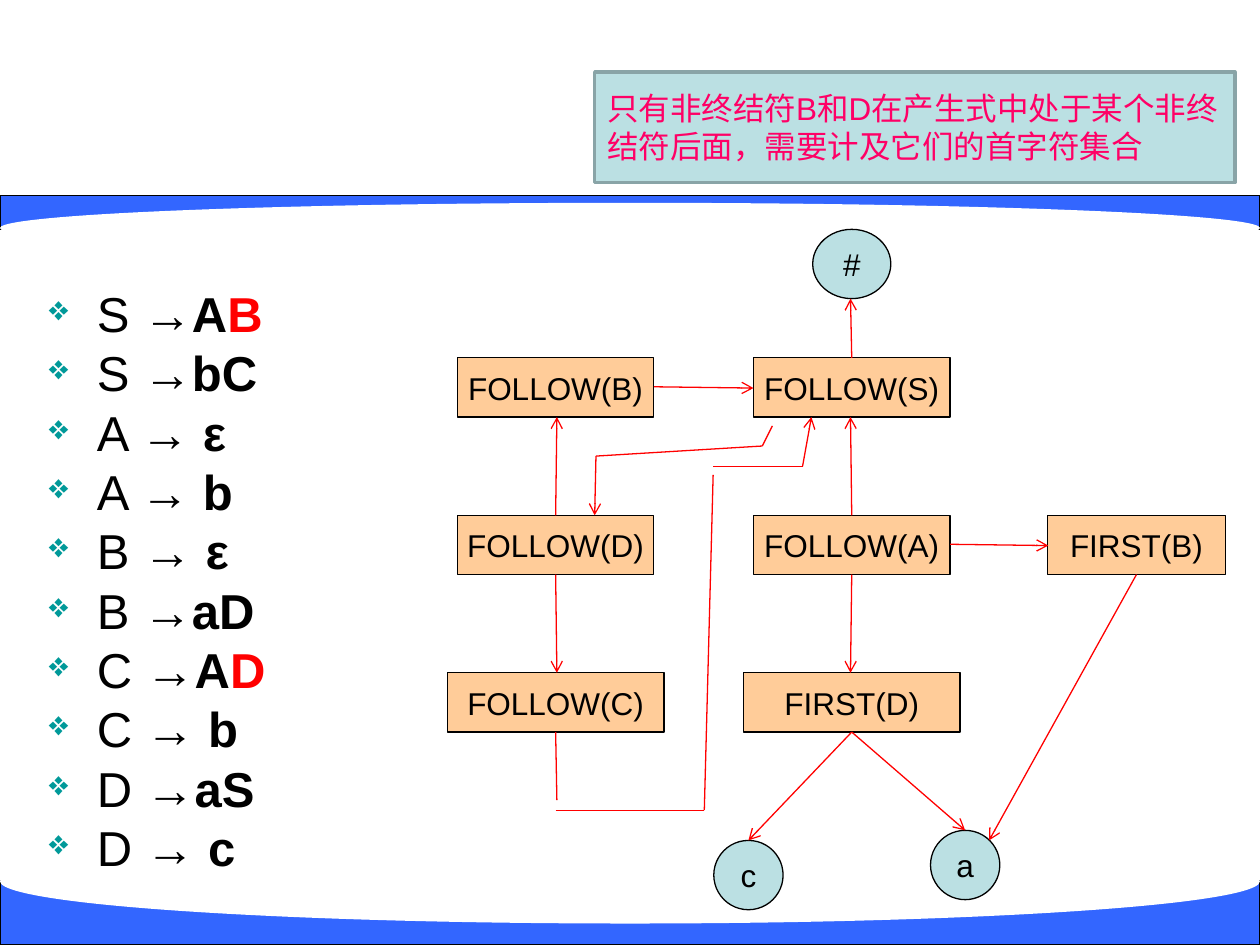
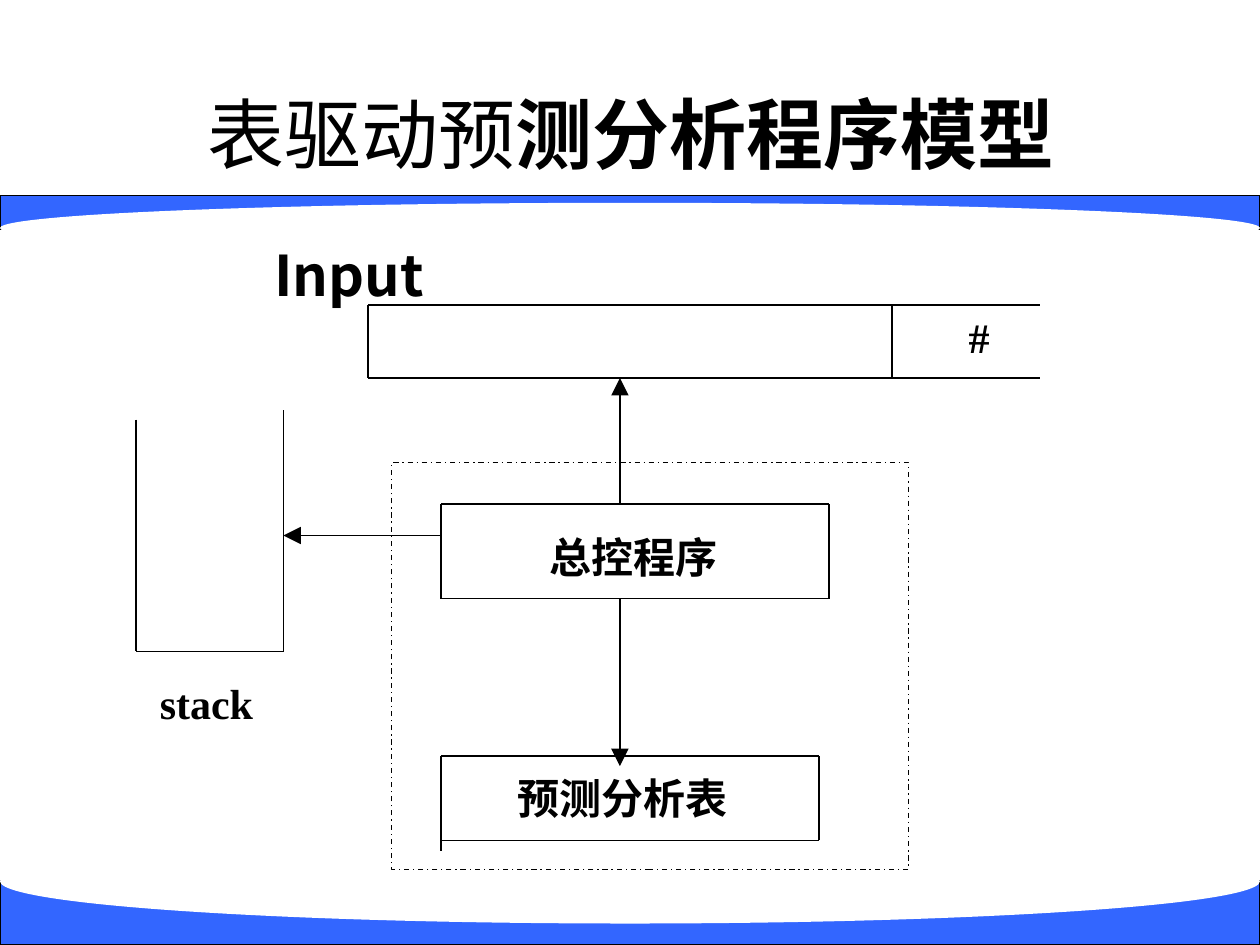
from dataclasses import dataclass
from itertools import pairwise

import pptx
import pptx.dml.color
import pptx.enum.dml
import pptx.enum.shapes
import pptx.enum.text
import pptx.oxml
import pptx.oxml.ns
import pptx.presentation
import pptx.shapes.autoshape
import pptx.slide
import pptx.text.text
import pptx.util

Inches = pptx.util.Inches
RGBColor = pptx.dml.color.RGBColor
MSO_SHAPE = pptx.enum.shapes.MSO_SHAPE
PP_ALIGN = pptx.enum.text.PP_ALIGN
MSO_ANCHOR = pptx.enum.text.MSO_ANCHOR

BLACK = RGBColor(0x00, 0x00, 0x00)
WHITE = RGBColor(0xFF, 0xFF, 0xFF)
RED = RGBColor(0xFF, 0x00, 0x00)
BAND_BLUE = RGBColor(0x33, 0x66, 0xFF)
PALE_TEAL = RGBColor(0xBB, 0xE0, 0xE3)
TEAL_EDGE = RGBColor(0x89, 0xA4, 0xA7)
ORANGE = RGBColor(0xFF, 0xCC, 0x99)
PINK = RGBColor(0xFF, 0x00, 0x66)
BULLET_TEAL = "009999"

ARIAL = "Arial"
TIMES = "Times New Roman"
CHINESE = "Noto Sans CJK SC"
THIN = 0.75
OPEN_HEAD = 'type="arrow"'
SOLID_HEAD = 'type="triangle" w="lg" len="lg"'

Point = tuple[float, float]


@dataclass(frozen=True)
class Box:
    left: float
    top: float
    width: float
    height: float


@dataclass(frozen=True)
class Style:
    size: float
    font: str = ARIAL
    color: RGBColor = BLACK
    bold: bool = False
    east_asian: bool = False


@dataclass(frozen=True)
class Band:
    bar: Box
    curve: Box


@dataclass(frozen=True)
class Node:
    label: str
    center: float
    top: float
    width: float
    height: float = 0.47
    kind: MSO_SHAPE = MSO_SHAPE.RECTANGLE
    fill: RGBColor = ORANGE


@dataclass(frozen=True)
class Route:
    points: tuple[Point, ...]
    arrow: bool = False


@dataclass(frozen=True)
class Production:
    left_side: str
    right_side: str
    highlighted: str = ""


@dataclass(frozen=True)
class Label:
    text: str
    box: Box
    style: Style


BANDS = (
    Band(Box(0, 1.55, 10, 0.27), Box(0, 1.61, 10, 0.4)),
    Band(Box(0, 6.99, 10, 0.51), Box(0, 6.66, 10, 0.67)),
)

PRODUCTIONS = (
    Production("S", "→A", "B"),
    Production("S", "→bC"),
    Production("A", "→ ε"),
    Production("A", "→ b"),
    Production("B", "→ ε"),
    Production("B", "→aD"),
    Production("C", "→A", "D"),
    Production("C", "→ b"),
    Production("D", "→aS"),
    Production("D", "→ c"),
)

LEFT_COLUMN, MIDDLE_COLUMN, RIGHT_COLUMN = 4.41, 6.76, 9.02
TOP_ROW, MIDDLE_ROW, BOTTOM_ROW = (2.84 + 1.25 * row for row in range(3))


def circle(label: str, center: float, top: float, width: float) -> Node:
    return Node(label, center, top, width, 0.55, MSO_SHAPE.OVAL, PALE_TEAL)


NODES = (
    circle("#", MIDDLE_COLUMN, 1.82, 0.62),
    circle("c", 5.94, 6.67, 0.55),
    circle("a", 7.66, 6.59, 0.55),
    Node("FOLLOW(B)", LEFT_COLUMN, TOP_ROW, 1.56),
    Node("FOLLOW(S)", MIDDLE_COLUMN, TOP_ROW, 1.56),
    Node("FOLLOW(D)", LEFT_COLUMN, MIDDLE_ROW, 1.56),
    Node("FOLLOW(A)", MIDDLE_COLUMN, MIDDLE_ROW, 1.56),
    Node("FIRST(B)", RIGHT_COLUMN, MIDDLE_ROW, 1.41),
    Node("FOLLOW(C)", LEFT_COLUMN, BOTTOM_ROW, 1.72),
    Node("FIRST(D)", MIDDLE_COLUMN, BOTTOM_ROW, 1.72),
)

DEPENDENCIES = (
    Route(((6.76, 2.84), (6.75, 2.37)), True),
    Route(((5.19, 3.07), (5.98, 3.08)), True),
    Route(((4.41, 4.09), (4.42, 3.31)), True),
    Route(((4.41, 4.56), (4.42, 5.34)), True),
    Route(((6.76, 4.56), (6.75, 5.34)), True),
    Route(((6.76, 5.81), (5.94, 6.67)), True),
    Route(((6.76, 5.81), (7.66, 6.59)), True),
    Route(((7.54, 4.32), (8.32, 4.33)), True),
    Route(((6.76, 4.09), (6.75, 3.31)), True),
    Route(((9.02, 4.56), (7.85, 6.67)), True),
    Route(((4.41, 5.81), (4.42, 6.35))),
    Route(((4.41, 6.43), (5.59, 6.43), (5.66, 3.77))),
    Route(((5.66, 3.7), (6.37, 3.7), (6.44, 3.31)), True),
    Route(((6.13, 3.38), (6.05, 3.54), (4.73, 3.62), (4.72, 4.09)), True),
)

MODEL_LINES = (
    Route(((1.08, 3.33), (1.08, 5.17), (2.25, 5.17), (2.25, 3.25))),
    Route(((8.25, 2.42), (2.92, 2.42), (2.92, 3), (8.25, 3))),
    Route(((7.08, 2.42), (7.08, 3))),
    Route(((3.5, 4), (6.58, 4), (6.58, 4.75), (3.5, 4.75), (3.5, 4))),
    Route(((3.5, 6.75), (3.5, 6), (6.5, 6), (6.5, 6.67), (3.5, 6.67))),
    Route(((4.92, 4), (4.92, 3)), True),
    Route(((3.5, 4.25), (2.25, 4.25)), True),
    Route(((4.92, 4.75), (4.92, 6.08)), True),
)

LATIN_LABEL = Style(24, TIMES, bold=True)
CHINESE_LABEL = Style(24, CHINESE, bold=True, east_asian=True)
MODEL_LABELS = (
    Label("#", Box(7.59, 2.42, 0.36, 0.5), LATIN_LABEL),
    Label("总控程序", Box(4.26, 4.17, 1.53, 0.5), CHINESE_LABEL),
    Label("预测分析表", Box(4.01, 6.08, 1.88, 0.5), CHINESE_LABEL),
    Label("stack", Box(1.17, 5.33, 0.94, 0.5), LATIN_LABEL),
    Label("Input", Box(2.08, 1.86, 1.42, 0.74), Style(32, CHINESE, bold=True)),
)


def place(box: Box) -> tuple[pptx.util.Length, ...]:
    return tuple(Inches(n) for n in (box.left, box.top, box.width, box.height))


def add_run(paragraph: pptx.text.text._Paragraph, text: str, style: Style) -> None:
    run = paragraph.add_run()
    run.text = text
    format_run(run, style)


def format_run(run: pptx.text.text._Run, style: Style) -> None:
    run.font.size = pptx.util.Pt(style.size)
    run.font.name = style.font
    run.font.bold = style.bold
    run.font.color.rgb = style.color
    if style.east_asian:
        east_asian = pptx.oxml.parse_xml(
            f'<a:ea {pptx.oxml.ns.nsdecls("a")} typeface="{CHINESE}"/>')
        run.font._element.find(pptx.oxml.ns.qn("a:latin")).addnext(east_asian)


def add_shape(slide: pptx.slide.Slide, kind: MSO_SHAPE, box: Box,
              fill: RGBColor | None, line: RGBColor | None = BLACK,
              line_width: float = THIN) -> pptx.shapes.autoshape.Shape:
    shape = slide.shapes.add_shape(kind, *place(box))
    shape.shadow.inherit = False
    if fill is None:
        shape.fill.background()
    else:
        shape.fill.solid()
        shape.fill.fore_color.rgb = fill
    if line is None:
        shape.line.fill.background()
    else:
        shape.line.color.rgb = line
        shape.line.width = pptx.util.Pt(line_width)
    return shape


def set_text(shape: pptx.shapes.autoshape.Shape, text: str, style: Style,
             alignment: PP_ALIGN, wrap: bool) -> None:
    text_frame = shape.text_frame
    text_frame.text = text
    text_frame.word_wrap = wrap
    paragraph = text_frame.paragraphs[0]
    paragraph.alignment = alignment
    format_run(paragraph.runs[0], style)


def add_route(slide: pptx.slide.Slide, route: Route, color: RGBColor, head: str) -> None:
    segments = list(pairwise(route.points))
    for number, (start, end) in enumerate(segments, 1):
        connector = slide.shapes.add_connector(
            pptx.enum.shapes.MSO_CONNECTOR.STRAIGHT,
            *(Inches(value) for value in start + end))
        connector.line.color.rgb = color
        connector.line.width = pptx.util.Pt(THIN)
        namespace = pptx.oxml.ns.nsdecls("a")
        if route.arrow and number == len(segments):
            connector.line._get_or_add_ln().append(
                pptx.oxml.parse_xml(f"<a:tailEnd {namespace} {head}/>"))
        connector._element.spPr.append(pptx.oxml.parse_xml(f"<a:effectLst {namespace}/>"))


def add_banded_slide(presentation: pptx.presentation.Presentation) -> pptx.slide.Slide:
    slide = presentation.slides.add_slide(presentation.slide_layouts[6])
    for band in BANDS:
        add_shape(slide, MSO_SHAPE.RECTANGLE, band.bar, BAND_BLUE)
        add_shape(slide, MSO_SHAPE.OVAL, band.curve, WHITE, None)
    return slide


def add_bullet(paragraph: pptx.text.text._Paragraph) -> None:
    properties = paragraph._element.get_or_add_pPr()
    properties.set("marL", str(Inches(0.38)))
    properties.set("indent", str(-Inches(0.38)))
    namespace = pptx.oxml.ns.nsdecls("a")
    for element in (f'<a:buClr {namespace}><a:srgbClr val="{BULLET_TEAL}"/></a:buClr>',
                    f'<a:buSzPct {namespace} val="70000"/>',
                    f'<a:buChar {namespace} char="❖"/>'):
        properties.append(pptx.oxml.parse_xml(element))


def add_productions(slide: pptx.slide.Slide) -> None:
    text_frame = slide.shapes.add_textbox(*place(Box(0.29, 2.29, 2.19, 4.69))).text_frame
    text_frame.word_wrap = True
    for number, production in enumerate(PRODUCTIONS):
        paragraph = text_frame.add_paragraph() if number else text_frame.paragraphs[0]
        add_bullet(paragraph)
        paragraph.line_spacing = 0.8
        if number:
            paragraph.space_before = pptx.util.Pt(7)
        add_run(paragraph, f"{production.left_side} ", Style(28))
        add_run(paragraph, production.right_side, Style(28, bold=True))
        if production.highlighted:
            add_run(paragraph, production.highlighted, Style(28, color=RED, bold=True))


def build_follow_graph(presentation: pptx.presentation.Presentation) -> None:
    slide = add_banded_slide(presentation)
    add_productions(slide)
    note = add_shape(slide, MSO_SHAPE.RECTANGLE, Box(4.72, 0.57, 5.08, 0.88),
                     PALE_TEAL, TEAL_EDGE, 2)
    set_text(note, "只有非终结符B和D在产生式中处于某个非终结符后面，需要计及它们的首字符集合",
             Style(18, color=PINK, east_asian=True), PP_ALIGN.LEFT, True)
    for node in NODES:
        box = Box(node.center - node.width / 2, node.top, node.width, node.height)
        shape = add_shape(slide, node.kind, box, node.fill)
        set_text(shape, node.label, Style(18), PP_ALIGN.CENTER, False)
    for route in DEPENDENCIES:
        add_route(slide, route, RED, OPEN_HEAD)


def build_parser_model(presentation: pptx.presentation.Presentation) -> None:
    slide = add_banded_slide(presentation)
    title = slide.shapes.add_textbox(*place(Box(0.51, 0.58, 9, 0.95)))
    set_text(title, "表驱动预", Style(44, east_asian=True), PP_ALIGN.CENTER, True)
    title.text_frame.vertical_anchor = MSO_ANCHOR.MIDDLE
    add_run(title.text_frame.paragraphs[0], "测分析程序模型",
            Style(44, CHINESE, bold=True, east_asian=True))
    for route in MODEL_LINES:
        add_route(slide, route, BLACK, SOLID_HEAD)
    for label in MODEL_LABELS:
        text_box = slide.shapes.add_textbox(*place(label.box))
        set_text(text_box, label.text, label.style, PP_ALIGN.LEFT, False)
        text_box.text_frame.auto_size = pptx.enum.text.MSO_AUTO_SIZE.SHAPE_TO_FIT_TEXT
    frame = add_shape(slide, MSO_SHAPE.RECTANGLE, Box(3.11, 3.67, 4.1, 3.23), None)
    frame.line.dash_style = pptx.enum.dml.MSO_LINE.DASH_DOT


def main() -> None:
    presentation = pptx.Presentation()
    presentation.slide_width = Inches(10)
    presentation.slide_height = Inches(7.5)
    build_follow_graph(presentation)
    build_parser_model(presentation)
    presentation.save("out.pptx")


if __name__ == "__main__":
    main()
